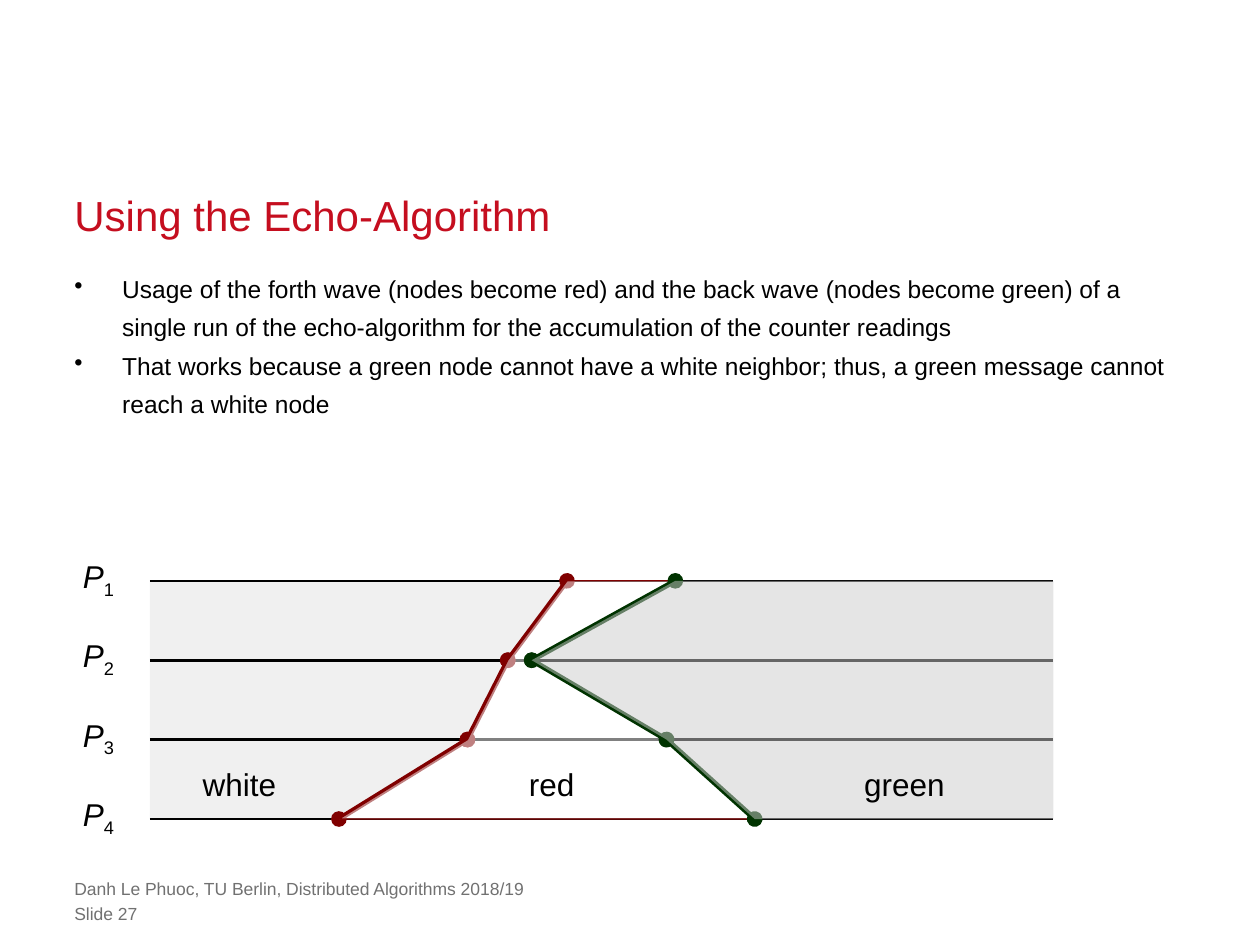
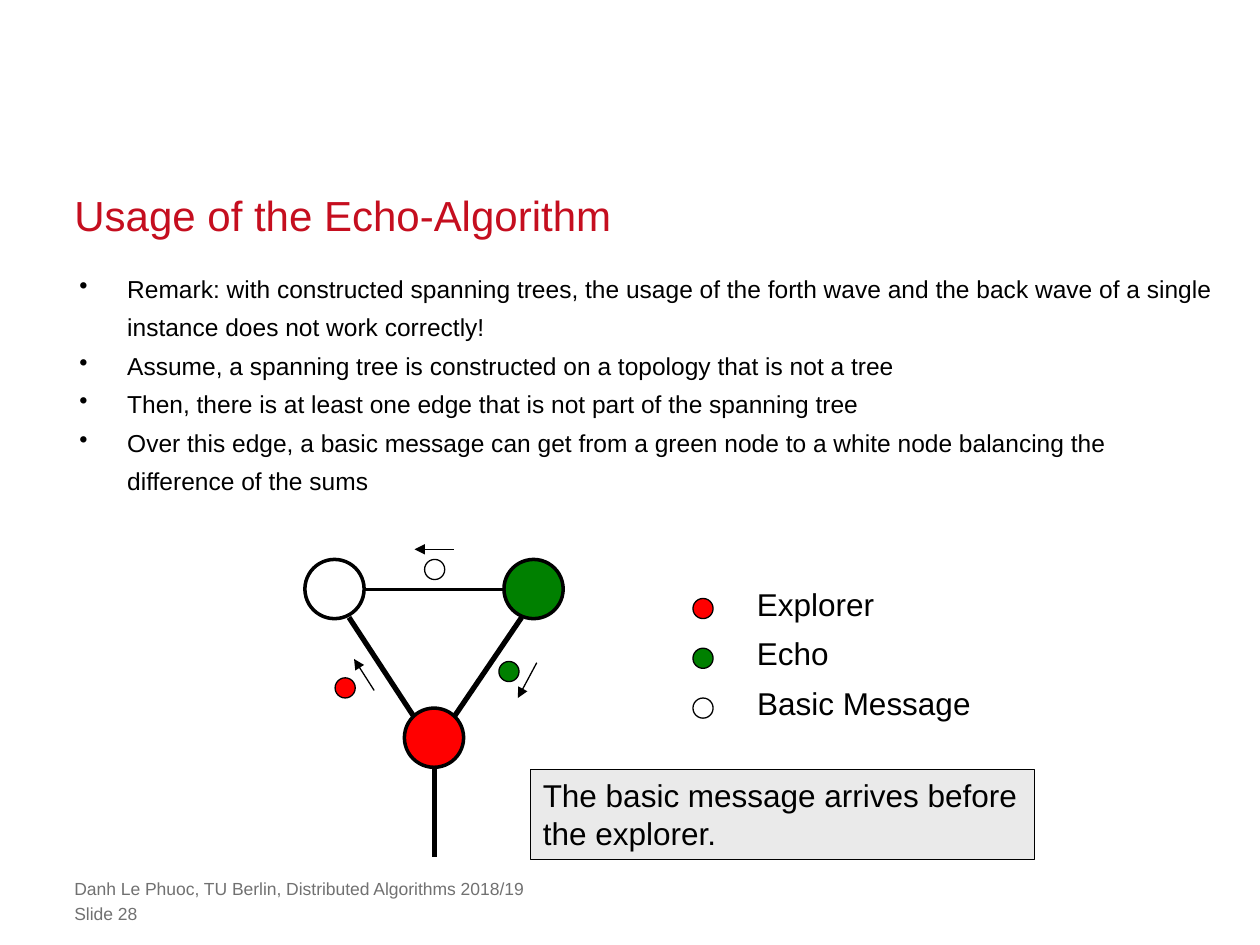
from lxml import etree
from pptx import Presentation
from pptx.dml.color import RGBColor
from pptx.enum.shapes import MSO_CONNECTOR, MSO_SHAPE
from pptx.enum.text import MSO_ANCHOR, MSO_AUTO_SIZE, PP_ALIGN
from pptx.oxml.ns import qn
from pptx.util import Inches, Pt

STRAIGHT = MSO_CONNECTOR.STRAIGHT
OVAL = MSO_SHAPE.OVAL
RECTANGLE = MSO_SHAPE.RECTANGLE
TOP, BOTTOM = MSO_ANCHOR.TOP, MSO_ANCHOR.BOTTOM
LEFT = PP_ALIGN.LEFT
GROW = MSO_AUTO_SIZE.SHAPE_TO_FIT_TEXT

COLORS = {
    "black": "000000", "white": "FFFFFF", "title": "C50E1F", "footer": "717171",
    "red": "FF0000", "green": "008000", "red_wave": "800000", "green_wave": "003300",
    "white_zone": "E3E3E3", "green_zone": "CCCCCC", "note": "EAEAEA",
}
TITLE = {"size": Pt(24), "color": "title"}
BODY = {"size": Pt(14), "color": "black"}
FOOTER = {"size": Pt(10), "color": "footer"}
LABEL = {"size": Pt(18), "color": "black"}
MARGIN = 0.59
COURSE = "Danh Le Phuoc, TU Berlin, Distributed Algorithms 2018/19"


def rgb(name):
    return RGBColor.from_string(COLORS[name])


def set_font(font, style):
    font.name = "Arial"
    for key, value in style.items():
        if key == "color":
            font.color.rgb = rgb(value)
        else:
            setattr(font, key, value)


def set_frame(tf, values):
    for key, value in values.items():
        setattr(tf, key, value)


def add_bullet(p):
    pPr = p._p.get_or_add_pPr()
    pPr.set("marL", str(Inches(0.38)))
    pPr.set("indent", str(-Inches(0.38)))
    etree.SubElement(pPr, qn("a:buChar")).set("char", "•")


def write(tf, lines, style, spacing=None, bullets=False):
    for i, line in enumerate(lines):
        p = tf.add_paragraph() if i else tf.paragraphs[0]
        if bullets:
            add_bullet(p)
        p.alignment = LEFT
        if spacing:
            p.line_spacing = Pt(spacing)
        r = p.add_run()
        r.text = line
        set_font(r.font, style)


def add_block(s, box, lines, style, anchor=TOP, spacing=None, bullets=False):
    tf = s.shapes.add_textbox(*map(Inches, box)).text_frame
    set_frame(tf, {"word_wrap": True, "vertical_anchor": anchor, "margin_left": 0,
                   "margin_right": 0, "margin_top": 0, "margin_bottom": 0})
    write(tf, lines, style, spacing, bullets)


def add_label(s, x, y, width, text, style=LABEL):
    tf = s.shapes.add_textbox(*map(Inches, (x, y, width, 0.4))).text_frame
    set_frame(tf, {"word_wrap": False, "auto_size": GROW})
    write(tf, [text], style)
    return tf.paragraphs[0]


def add_process_label(s, y, number):
    p = add_label(s, 0.56, y - 0.24, 0.46, "P", {**LABEL, "italic": True})
    r = p.add_run()
    r.text = str(number)
    set_font(r.font, LABEL)
    r.font._element.set("baseline", "-25000")


def add_line(s, start, end, color="black", width=1.5, head=None, tail=None):
    points = [Inches(v) for v in (*start, *end)]
    line = s.shapes.add_connector(STRAIGHT, *points)
    line.line.color.rgb = rgb(color)
    line.line.width = Pt(width)
    ln = line.line._get_or_add_ln()
    for tag, kind in (("a:headEnd", head), ("a:tailEnd", tail)):
        if kind:
            etree.SubElement(ln, qn(tag)).set("type", kind)
    etree.SubElement(line._element.spPr, qn("a:effectLst"))


def add_wave(s, points, color):
    for start, end in zip(points, points[1:]):
        add_line(s, start, end, color, 3, "oval", "oval")


def add_zone(s, points, fill, outline=None):
    corners = [(Inches(x), Inches(y)) for x, y in points]
    builder = s.shapes.build_freeform(*corners[0])
    builder.add_line_segments(corners[1:], close=True)
    sp = builder.convert_to_shape()
    sp.shadow.inherit = False
    sp.fill.solid()
    sp.fill.fore_color.rgb = rgb(fill)
    color = sp._element.spPr.find(qn("a:solidFill"))[0]
    etree.SubElement(color, qn("a:alpha")).set("val", "50000")
    if outline:
        sp.line.color.rgb = rgb(outline)
        sp.line.width = Pt(0.75)
    else:
        sp.line.fill.background()


def add_filled(s, kind, box, fill, width):
    sp = s.shapes.add_shape(kind, *map(Inches, box))
    sp.shadow.inherit = False
    sp.fill.solid()
    sp.fill.fore_color.rgb = rgb(fill)
    sp.line.color.rgb = rgb("black")
    sp.line.width = Pt(width)
    return sp


def add_node(s, x, y, fill):
    add_filled(s, OVAL, (x, y, 0.47, 0.47), fill, 2)


def add_message(s, x, y, fill):
    add_filled(s, OVAL, (x, y, 0.16, 0.16), fill, 0.75)


def add_slide(prs, number, title, body_box, bullets):
    s = prs.slides.add_slide(prs.slide_layouts[6])
    add_block(s, (MARGIN, 1.48, 8.82, 0.42), [title], TITLE, BOTTOM, 30)
    add_block(s, body_box, bullets, BODY, spacing=22, bullets=True)
    for y, text in ((6.97, COURSE), (7.17, f"Slide {number}")):
        add_block(s, (MARGIN, y, 7.24, 0.17), [text], FOOTER)
    return s


def draw_waves(s):
    left, right = 1.19, 8.36
    levels = [4.61 + 0.63 * i for i in range(4)]
    red = list(zip((4.5, 4.03, 3.71, 2.69), levels))
    green = list(zip((5.36, 4.22, 5.29, 5.99), levels))
    top, bottom = levels[0], levels[-1]

    add_zone(s, red + [(left, bottom), (left, top)], "white_zone")
    for number, y in enumerate(levels, 1):
        add_line(s, (left, y), (right, y))
        add_process_label(s, y, number)
    add_wave(s, red, "red_wave")
    add_zone(s, red + green[::-1], "white", "red_wave")
    add_wave(s, green, "green_wave")
    add_zone(s, green + [(right, bottom), (right, top)], "green_zone")
    for x, width, text in ((1.51, 0.79, "white"), (4.1, 0.57, "red"), (6.76, 0.85, "green")):
        add_label(s, x, 6.02, width, text)


def draw_tree(s):
    for start, end, width in (
        ((3.45, 5.86), (3.45, 6.8), 3),
        ((3.61, 5.68), (4.14, 4.9), 3),
        ((3.28, 5.68), (2.77, 4.9), 3),
        ((2.66, 4.68), (4.24, 4.68), 1.5),
    ):
        add_line(s, start, end, width=width)
    for x, y, fill in ((3.21, 5.62, "red"), (4, 4.44, "green"), (2.42, 4.44, "white")):
        add_node(s, x, y, fill)
    for x, y, fill, start, end in (
        (3.37, 4.44, "white", (3.6, 4.36), (3.29, 4.36)),
        (3.96, 5.25, "green", (4.26, 5.26), (4.11, 5.54)),
        (2.66, 5.38, "red", (2.97, 5.48), (2.81, 5.23)),
    ):
        add_message(s, x, y, fill)
        add_line(s, start, end, width=0.75, tail="triangle")


def draw_legend(s):
    entries = (("red", "Explorer", 1.13), ("green", "Echo", 0.77), ("white", "Basic Message", 1.91))
    for i, (fill, text, width) in enumerate(entries):
        y = 4.75 + 0.395 * i
        add_message(s, 5.5, y, fill)
        add_label(s, 5.91, y - 0.16, width, text)


def add_note(s, lines):
    tf = add_filled(s, RECTANGLE, (4.21, 6.11, 4, 0.71), "note", 0.75).text_frame
    set_frame(tf, {"word_wrap": False, "auto_size": GROW, "vertical_anchor": TOP})
    write(tf, lines, LABEL)


def main():
    prs = Presentation()
    prs.slide_width, prs.slide_height = Inches(10), Inches(7.5)

    s = add_slide(prs, 27, "Using the Echo-Algorithm", (MARGIN, 2.1, 8.82, 2.18), [
        "Usage of the forth wave (nodes become red) and the back wave (nodes become green) "
        "of a single run of the echo-algorithm for the accumulation of the counter readings",
        "That works because a green node cannot have a white neighbor; thus, a green message "
        "cannot reach a white node",
    ])
    draw_waves(s)

    s = add_slide(prs, 28, "Usage of the Echo-Algorithm", (0.63, 2.1, 9, 3.46), [
        "Remark: with constructed spanning trees, the usage of the forth wave and the back "
        "wave of a single instance does not work correctly!",
        "Assume, a spanning tree is constructed on a topology that is not a tree",
        "Then, there is at least one edge that is not part of the spanning tree",
        "Over this edge, a basic message can get from a green node to a white node balancing "
        "the difference of the sums",
    ])
    draw_tree(s)
    draw_legend(s)
    add_note(s, ["The basic message arrives before", "the explorer."])

    prs.save("out.pptx")


if __name__ == "__main__":
    main()
